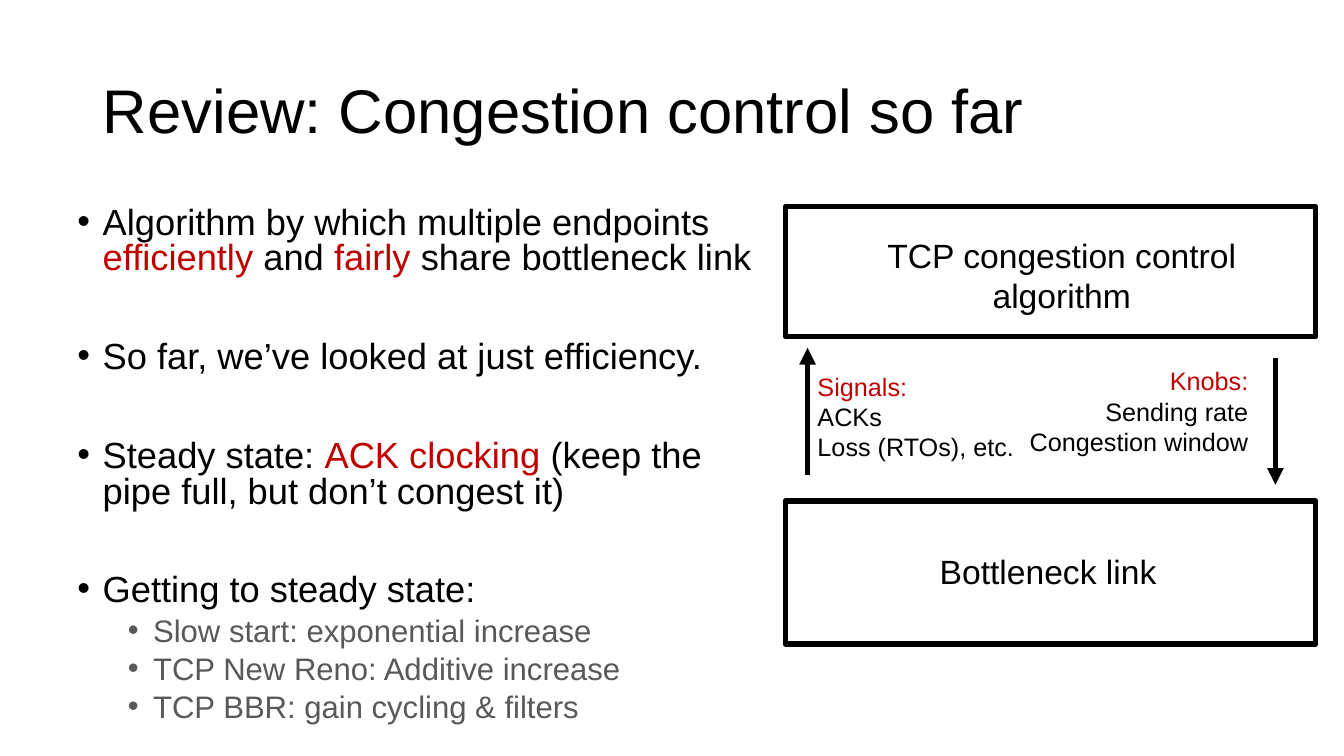
from dataclasses import dataclass

from lxml import etree
from pptx import Presentation
from pptx.dml.color import RGBColor
from pptx.enum.shapes import MSO_CONNECTOR, MSO_SHAPE
from pptx.enum.text import MSO_ANCHOR, MSO_AUTO_SIZE, PP_ALIGN
from pptx.oxml.ns import qn
from pptx.util import Inches, Pt

LEFT, MID, RIGHT = PP_ALIGN.LEFT, PP_ALIGN.CENTER, PP_ALIGN.RIGHT
RECT = MSO_SHAPE.RECTANGLE
LINE = MSO_CONNECTOR.STRAIGHT
WIDE, HIGH = Inches(13.33), Inches(7.5)
FONT = "Arial"
STROKE = 4
HUES = {"ink": "000000", "red": "C00000", "gray": "595959"}
FRAME = {
    "word_wrap": True,
    "auto_size": MSO_AUTO_SIZE.NONE,
    "vertical_anchor": MSO_ANCHOR.TOP,
}


@dataclass
class Area:
    x: float
    y: float
    w: float
    h: float

    def spans(self) -> tuple[int, int, int, int]:
        return across(self.x), down(self.y), across(self.w), down(self.h)


@dataclass
class Run:
    text: str
    hue: str = "ink"


@dataclass
class Para:
    runs: list[Run]
    size: float
    align: PP_ALIGN = LEFT
    lead: float = 1
    gap: float = 0
    indent: float = 0


@dataclass
class Note:
    area: Area
    paras: list[Para]


@dataclass
class Arrow:
    x: float
    start: float
    end: float


def across(share: float) -> int:
    return round(WIDE * share / 100)


def down(share: float) -> int:
    return round(HIGH * share / 100)


def color(hue: str) -> RGBColor:
    return RGBColor.from_string(HUES[hue])


def apply(thing, values: dict) -> None:
    for name, value in values.items():
        setattr(thing, name, value)


def bullet(para, indent: float) -> None:
    props = para._p.get_or_add_pPr()
    props.set("marL", str(Inches(indent)))
    props.set("indent", str(Inches(-0.25)))
    etree.SubElement(props, qn("a:buFont")).set("typeface", FONT)
    etree.SubElement(props, qn("a:buChar")).set("char", "•")


def write(frame, paras: list[Para]) -> None:
    for i, item in enumerate(paras):
        para = frame.add_paragraph() if i else frame.paragraphs[0]
        if item.indent:
            bullet(para, item.indent)
        apply(para, {
            "alignment": item.align,
            "line_spacing": item.lead,
            "space_before": Pt(item.gap if i else 0),
            "level": 1 if item.indent > 0.5 else 0,
        })
        for part in item.runs:
            run = para.add_run()
            run.text = part.text
            apply(run.font, {"name": FONT, "size": Pt(item.size)})
            run.font.color.rgb = color(part.hue)


def add_note(slide, note: Note) -> None:
    frame = slide.shapes.add_textbox(*note.area.spans()).text_frame
    apply(frame, FRAME)
    write(frame, note.paras)


def add_box(slide, area: Area) -> None:
    box = slide.shapes.add_shape(RECT, *area.spans())
    box.shadow.inherit = False
    box.fill.background()
    box.line.color.rgb = color("ink")
    box.line.width = Pt(STROKE)


def add_arrow(slide, arrow: Arrow) -> None:
    x = across(arrow.x)
    link = slide.shapes.add_connector(LINE, x, down(arrow.start), x, down(arrow.end))
    link.line.color.rgb = color("ink")
    link.line.width = Pt(STROKE)
    props = link._element.spPr
    etree.SubElement(props.find(qn("a:ln")), qn("a:tailEnd")).set("type", "triangle")
    etree.SubElement(props, qn("a:effectLst"))


def add_title(slide, area: Area, para: Para) -> None:
    title = slide.shapes.title
    apply(title, dict(zip(("left", "top", "width", "height"), area.spans())))
    apply(title.text_frame, FRAME | {"vertical_anchor": MSO_ANCHOR.MIDDLE})
    write(title.text_frame, [para])


def point(*runs: Run) -> Para:
    return Para(list(runs), 25.9, lead=0.82, gap=45, indent=0.25)


def detail(text: str) -> Para:
    return Para([Run(text, "gray")], 22.2, lead=0.82, gap=5.5, indent=0.75)


def label(text: str) -> list[Para]:
    return [Para([Run(text)], 24, MID)]


def listing(align: PP_ALIGN, head: str, *rows: str) -> list[Para]:
    runs = [Run(head, "red")] + [Run(row) for row in rows]
    return [Para([run], 18, align) for run in runs]


POINTS = [
    point(
        Run("Algorithm by which multiple endpoints "),
        Run("efficiently", "red"),
        Run(" and "),
        Run("fairly", "red"),
        Run(" share bottleneck link"),
    ),
    point(Run("So far, we’ve looked at just efficiency.")),
    point(
        Run("Steady state: "),
        Run("ACK clocking ", "red"),
        Run("(keep the pipe full, but don’t congest it)"),
    ),
    point(Run("Getting to steady state:")),
    detail("Slow start: exponential increase"),
    detail("TCP New Reno: Additive increase"),
    detail("TCP BBR: gain cycling & filters"),
]
BOXES = [Area(58.44, 27.33, 39.46, 17.2), Area(58.44, 66.27, 39.46, 18.93)]
ARROWS = [Arrow(60.09, 62.8, 46), Arrow(94.9, 47.33, 64.13)]
NOTES = [
    Note(Area(5.03, 26.67, 52.14, 73.33), POINTS),
    Note(Area(62.04, 30.4, 33.91, 12.13), label("TCP congestion control algorithm")),
    Note(Area(59.94, 72.27, 36.08, 6.67), label("Bottleneck link")),
    Note(Area(75.24, 47.73, 18.38, 13.47),
         listing(RIGHT, "Knobs:", "Sending rate", "Congestion window")),
    Note(Area(60.09, 48.4, 16.35, 13.47),
         listing(LEFT, "Signals:", "ACKs", "Loss (RTOs), etc.")),
]


def main() -> None:
    deck = Presentation()
    apply(deck, {"slide_width": WIDE, "slide_height": HIGH})
    slide = deck.slides.add_slide(deck.slide_layouts[5])
    head = Para([Run("Review: Congestion control so far")], 44, lead=0.9)
    add_title(slide, Area(6.9, 5.33, 86.27, 19.33), head)
    for area in BOXES:
        add_box(slide, area)
    for arrow in ARROWS:
        add_arrow(slide, arrow)
    for note in NOTES:
        add_note(slide, note)
    deck.save("out.pptx")


if __name__ == "__main__":
    main()
